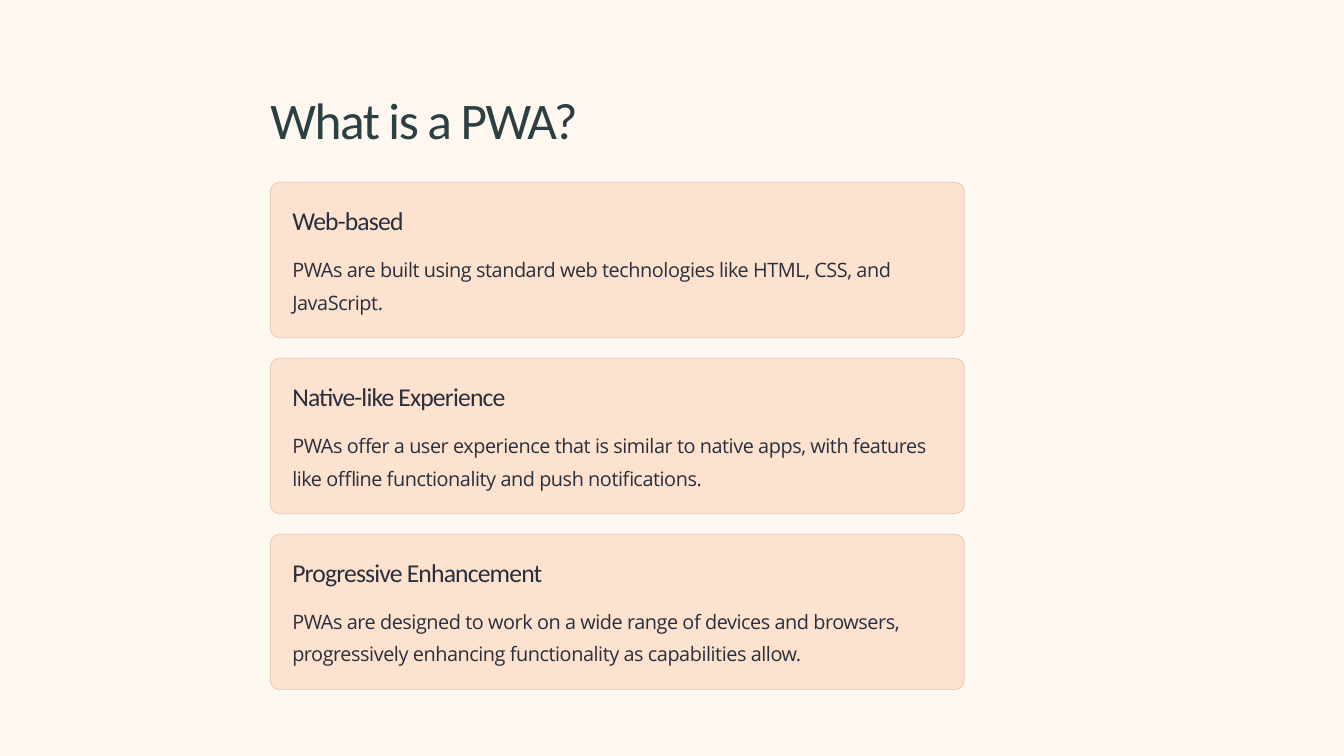
from pptx import Presentation
from pptx import util as u
from pptx.dml.color import RGBColor
from pptx.enum import shapes, text

CREAM = RGBColor(0xFF, 0xF8, 0xF0)
PEACH = RGBColor(0xFC, 0xE2, 0xCF)
EDGE = RGBColor(0xE2, 0xC8, 0xB5)
TEAL = RGBColor(0x2C, 0x3F, 0x42)
INK = RGBColor(0x2B, 0x2E, 0x3C)

TITLE = {"font": {"name": "Calibri", "size": u.Pt(44)}, "color": TEAL,
         "lead": 55, "track": -130, "wrap": False}
HEAD = {"font": {"name": "Calibri", "size": u.Pt(22)}, "color": INK,
        "lead": 27, "track": -70, "wrap": False}
BODY = {"font": {"name": "Open Sans", "size": u.Pt(17)}, "color": INK,
        "lead": 28, "track": -40, "wrap": True}

deck = Presentation()
deck.slide_width, deck.slide_height = u.Inches(16), u.Inches(9)
slide = deck.slides.add_slide(deck.slide_layouts[6])
slide.background.fill.solid()
slide.background.fill.fore_color.rgb = CREAM


def write(words, box, style):
    frame = slide.shapes.add_textbox(*map(u.Inches, box)).text_frame
    format = {"margin_left": 0, "margin_top": 0, "margin_right": 0,
              "margin_bottom": 0, "word_wrap": style["wrap"],
              "auto_size": text.MSO_AUTO_SIZE.SHAPE_TO_FIT_TEXT}
    for key, value in format.items():
        setattr(frame, key, value)
    line = frame.paragraphs[0]
    line.alignment = text.PP_ALIGN.LEFT
    line.line_spacing = u.Pt(style["lead"])
    run = line.add_run()
    run.text = words
    for key, value in style["font"].items():
        setattr(run.font, key, value)
    run.font.color.rgb = style["color"]
    run._r.get_or_add_rPr().set("spc", str(style["track"]))


LEFT, TOP, WIDE, HIGH = 3.22, 2.17, 8.26, 1.85
STEP, PAD = 2.095, 0.26

CARDS = [
    ("Web-based", 1.49,
     "PWAs are built using standard web technologies like HTML, CSS, and JavaScript."),
    ("Native-like Experience", 2.85,
     "PWAs offer a user experience that is similar to native apps, "
     "with features like offline functionality and push notifications."),
    ("Progressive Enhancement", 3.38,
     "PWAs are designed to work on a wide range of devices and browsers, "
     "progressively enhancing functionality as capabilities allow."),
]

write("What is a PWA?", (LEFT, 1.02, 4.18, 0.75), TITLE)

for row, (head, span, body) in enumerate(CARDS):
    top = TOP + row * STEP
    card = slide.shapes.add_shape(shapes.MSO_SHAPE.ROUNDED_RECTANGLE,
                                  *map(u.Inches, (LEFT, top, WIDE, HIGH)))
    card.adjustments[0] = 0.06
    card.shadow.inherit = False
    card.fill.solid()
    card.fill.fore_color.rgb = PEACH
    card.line.color.rgb = EDGE
    card.line.width = u.Pt(0.6)
    write(head, (LEFT + PAD, top + PAD, span, 0.37), HEAD)
    write(body, (LEFT + PAD, top + 0.79, WIDE - 2 * PAD, 0.75), BODY)

deck.save("out.pptx")
